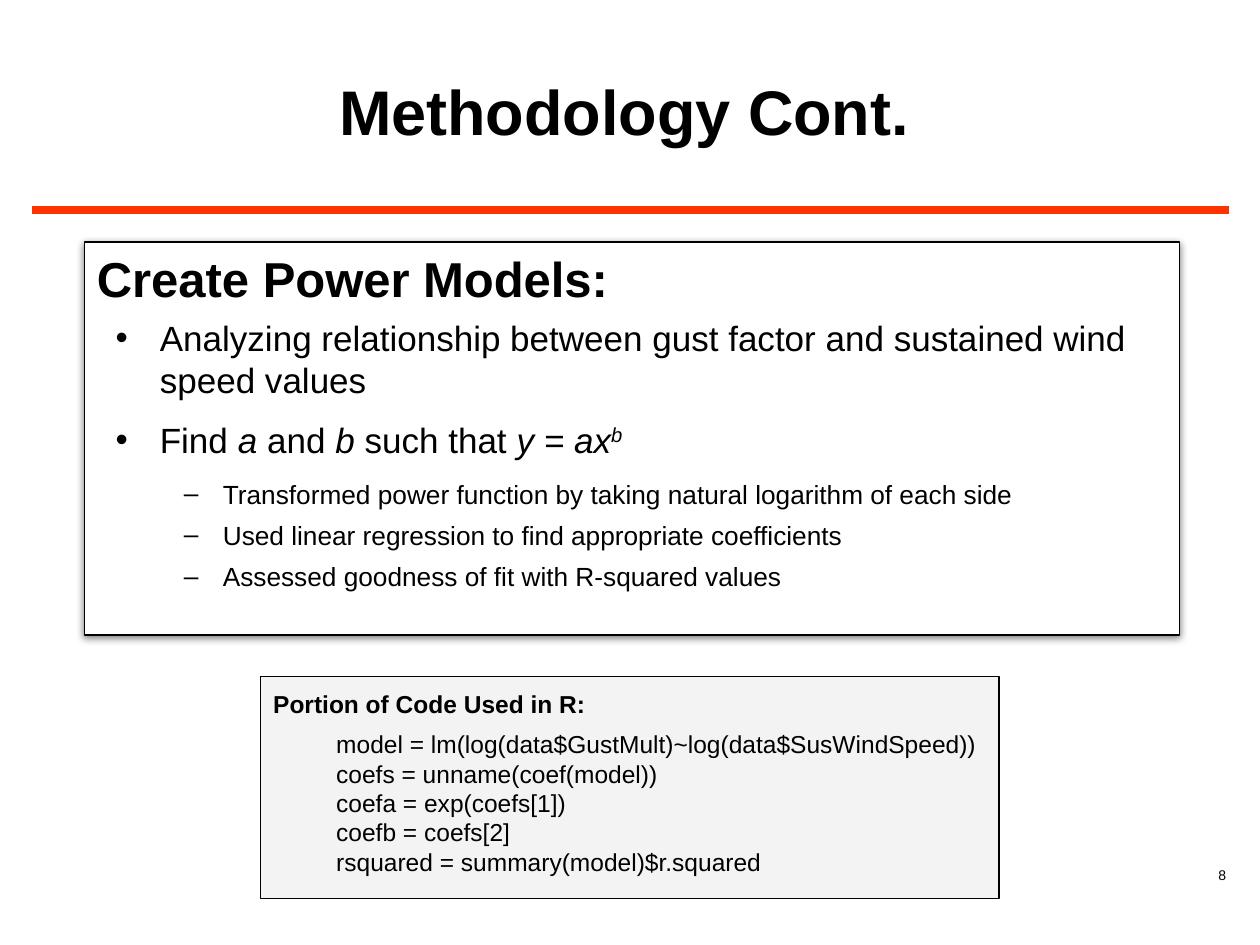
from lxml.etree import SubElement
from pptx import Presentation
from pptx.dml.color import RGBColor
from pptx.enum.shapes import MSO_CONNECTOR, MSO_SHAPE
from pptx.enum.text import MSO_ANCHOR, PP_ALIGN
from pptx.oxml.ns import qn
from pptx.util import Inches, Pt

BLACK, WHITE, RED, GRAY = "000000", "FFFFFF", "FF3300", "F3F3F3"
HEADING = "Methodology Cont."
PAGE = "8"
MODELS_HEADING = "Create Power Models:"
POINTS = [
    (["Analyzing relationship between gust factor and sustained wind speed values"], 5.6),
    (["Find ", ("a ", "i"), "and ", ("b ", "i"), "such that ", ("y = ax", "i"), ("b", "sup")], 10),
]
STEPS = [
    (["Transformed power function by taking natural logarithm of each side"], 10),
    (["Used linear regression to find appropriate coefficients"], 5.6),
    (["Assessed goodness of fit with R-squared values"], 5.6),
]
CODE_HEADING = "Portion of Code Used in R:"
CODE = [
    "model = lm(log(data$GustMult)~log(data$SusWindSpeed))",
    "coefs = unname(coef(model))",
    "coefa = exp(coefs[1])",
    "coefb = coefs[2]",
    "rsquared = summary(model)$r.squared",
]


def color(value):
    return RGBColor.from_string(value)


def child(parent, tag, **attributes):
    return SubElement(parent, qn(tag), attributes)


def write(frame, text, size, bold=False, align=PP_ALIGN.LEFT, before=0,
          margin=0, indent=0, bullet=None, level=0):
    first = not frame.paragraphs[0].runs
    paragraph = frame.paragraphs[0] if first else frame.add_paragraph()
    paragraph.alignment = align
    paragraph.level = level
    paragraph.space_before = Pt(before)
    properties = paragraph._p.get_or_add_pPr()
    properties.set("marL", str(Inches(margin)))
    properties.set("indent", str(Inches(indent)))
    if bullet:
        child(child(properties, "a:buClr"), "a:srgbClr", val=BLACK)
        child(properties, "a:buFont", typeface="Arial")
        child(properties, "a:buChar", char=bullet)
    for part in [text] if isinstance(text, str) else text:
        words, style = (part, "") if isinstance(part, str) else part
        run = paragraph.add_run()
        run.text = words
        run.font.name = "Arial"
        run.font.size = Pt(size)
        run.font.bold = bold
        run.font.italic = bool(style)
        run.font.color.rgb = color(BLACK)
        if style == "sup":
            run._r.get_or_add_rPr().set("baseline", "30000")


def add_panel(slide, box, fill, inset):
    panel = slide.shapes.add_shape(MSO_SHAPE.RECTANGLE, *map(Inches, box))
    panel.shadow.inherit = False
    panel.fill.solid()
    panel.fill.fore_color.rgb = color(fill)
    panel.line.color.rgb = color(BLACK)
    panel.line.width = Pt(0.75)
    frame = panel.text_frame
    frame.word_wrap = True
    frame.vertical_anchor = MSO_ANCHOR.TOP
    frame.margin_top = frame.margin_bottom = Inches(inset)
    return panel


def main():
    deck = Presentation()
    deck.slide_width, deck.slide_height = Inches(10), Inches(7.5)
    slide = deck.slides.add_slide(deck.slide_layouts[5])

    title = slide.shapes.title
    title.left, title.top, title.width, title.height = map(Inches, (1.58, 0.25, 6.75, 1.25))
    title.text_frame.vertical_anchor = MSO_ANCHOR.MIDDLE
    write(title.text_frame, HEADING, 36, bold=True, align=PP_ALIGN.CENTER)

    rule = slide.shapes.add_connector(
        MSO_CONNECTOR.STRAIGHT, *map(Inches, (0.25, 1.67, 9.75, 1.67)))
    rule.line.color.rgb = color(RED)
    rule.line.width = Pt(4.5)
    child(rule._element.spPr, "a:effectLst")

    number = slide.shapes.add_textbox(*map(Inches, (7.75, 6.83, 2.08, 0.5))).text_frame
    number.word_wrap = True
    write(number, PAGE, 8, align=PP_ALIGN.RIGHT)

    models = add_panel(slide, (0.67, 1.92, 8.69, 3.12), WHITE, 0.05)
    effects = models._element.spPr.find(qn("a:effectLst"))
    shadow = child(effects, "a:outerShdw", blurRad=str(Pt(4.5)), dist=str(Pt(1.5)),
                   dir="5400000", rotWithShape="0")
    child(child(shadow, "a:srgbClr", val=BLACK), "a:alpha", val="50000")
    write(models.text_frame, MODELS_HEADING, 28, bold=True, before=5.6)
    for text, before in POINTS:
        write(models.text_frame, text, 20, before=before, margin=0.5, indent=-0.35, bullet="•")
    for text, before in STEPS:
        write(models.text_frame, text, 15, before=before, margin=1, indent=-0.31,
              bullet="–", level=1)

    code = add_panel(slide, (2.07, 5.37, 5.86, 1.76), GRAY, 0.1).text_frame
    write(code, CODE_HEADING, 14, bold=True)
    for index, statement in enumerate(CODE):
        write(code, statement, 14, margin=0.5, before=0 if index else 6)

    deck.save("out.pptx")


if __name__ == "__main__":
    main()
